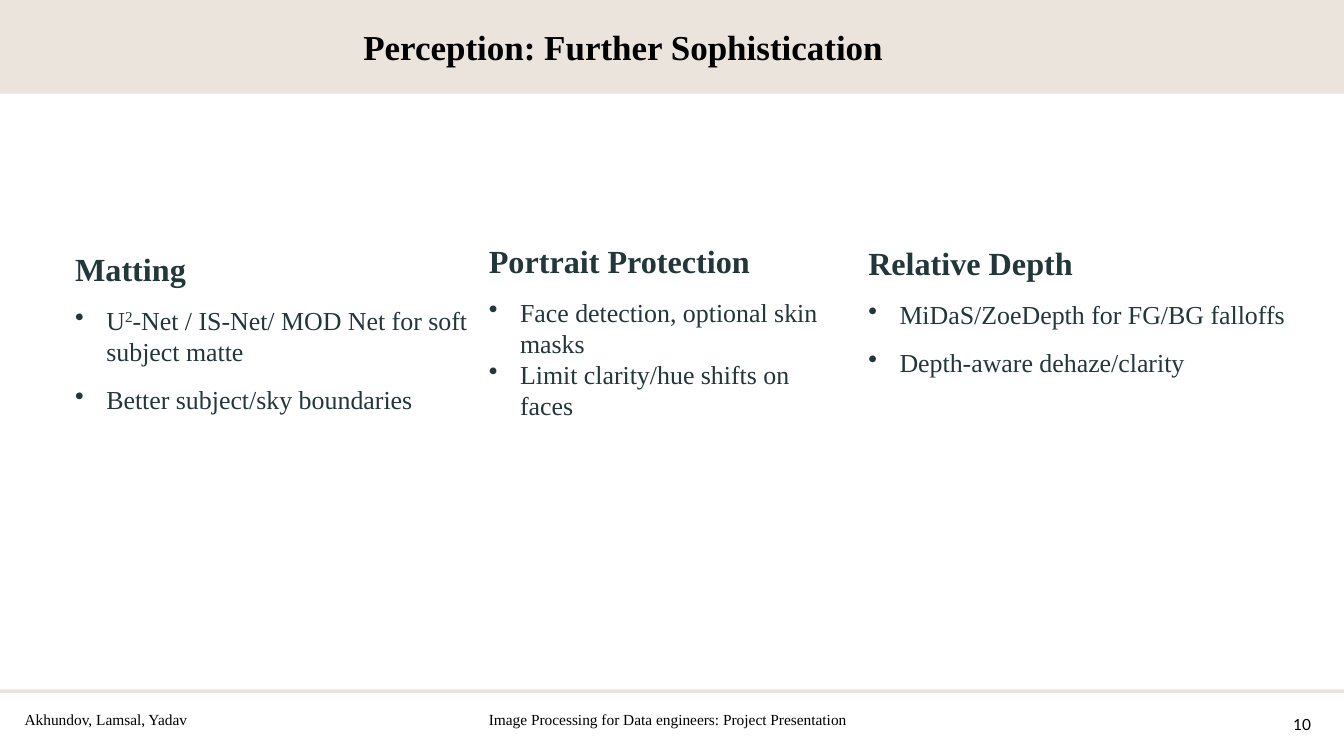
from dataclasses import dataclass

from lxml import etree
from pptx import Presentation
from pptx.dml.color import RGBColor
from pptx.enum.shapes import MSO_SHAPE
from pptx.enum.text import MSO_ANCHOR, MSO_AUTO_SIZE, PP_ALIGN
from pptx.oxml.ns import qn
from pptx.util import Pt

PX = 9144  # 100 px to the inch
RECT = MSO_SHAPE.RECTANGLE
GROW = MSO_AUTO_SIZE.SHAPE_TO_FIT_TEXT
MIDDLE, BOTTOM = MSO_ANCHOR.MIDDLE, MSO_ANCHOR.BOTTOM
LEFT, CENTER = PP_ALIGN.LEFT, PP_ALIGN.CENTER

WIDE, HIGH = 2667, 1500
INSET, INDENT = 6, 62
SERIF, SANS = "Times New Roman", "Lato"
COLORS = {"band": "EBE4DC", "ink": "22373A", "black": "000000"}


@dataclass
class Box:
    left: int
    top: int
    width: int
    height: int


@dataclass
class Label:
    box: Box
    text: str
    size: int
    font: str = SERIF
    bold: bool = False
    align: PP_ALIGN = LEFT
    anchor: MSO_ANCHOR = MIDDLE
    lines: float = 1.0


@dataclass
class Topic:
    box: Box
    head: str
    points: list[list[str]]  # runs of each point; every second run is raised
    gaps: list[int]  # space before each point


BANDS = [Box(0, 0, WIDE, 186), Box(0, 1368, WIDE, 7)]

LABELS = [
    Label(Box(715, 45, 1067, 95), "Perception: Further Sophistication", 50, bold=True),
    Label(Box(42, 1415, 336, 46), "Akhundov, Lamsal, Yadav", 22,
          align=CENTER, lines=0.1),
    Label(Box(964, 1415, 739, 46),
          "Image Processing for Data engineers: Project Presentation", 22, lines=0.1),
    Label(Box(2554, 1415, 60, 46), "10", 22, SANS, align=CENTER, anchor=BOTTOM),
]

TOPICS = [
    Topic(Box(143, 487, 821, 343), "Matting",
          [["U", "2", "-Net / IS-Net/ MOD Net for soft subject matte"],
           ["Better subject/sky boundaries"]], [24, 24]),
    Topic(Box(964, 471, 700, 371), "Portrait Protection",
          [["Face detection, optional skin masks"],
           ["Limit clarity/hue shifts on faces"]], [24, 0]),
    Topic(Box(1717, 476, 867, 280), "Relative Depth",
          [["MiDaS/ZoeDepth for FG/BG falloffs"],
           ["Depth-aware dehaze/clarity"]], [24, 24]),
]


def place(box: Box) -> list[int]:
    return [n * PX for n in (box.left, box.top, box.width, box.height)]


def add_band(slide, box: Box) -> None:
    band = slide.shapes.add_shape(RECT, *place(box))
    band.shadow.inherit = False
    band.fill.solid()
    band.fill.fore_color.rgb = RGBColor.from_string(COLORS["band"])
    band.line.fill.background()


def add_frame(slide, box: Box, wrap: bool, anchor: MSO_ANCHOR):
    frame = slide.shapes.add_textbox(*place(box)).text_frame
    frame.margin_left = frame.margin_right = INSET * PX
    frame.margin_top = frame.margin_bottom = INSET * PX
    frame.word_wrap = wrap
    frame.auto_size = GROW
    frame.vertical_anchor = anchor
    return frame


def add_run(para, text: str, size: int, color: str, font: str = SERIF,
            bold: bool = False, raised: bool = False) -> None:
    run = para.add_run()
    run.text = text
    run.font.name = font
    run.font.size = Pt(size)
    run.font.bold = bold
    run.font.color.rgb = RGBColor.from_string(COLORS[color])
    if raised:
        run.font._element.set("baseline", "30000")


def add_bullet(para) -> None:
    props = para._p.get_or_add_pPr()
    props.set("marL", str(INDENT * PX))
    props.set("indent", str(-INDENT * PX))
    etree.SubElement(props, qn("a:buChar")).set("char", "•")


def add_label(slide, label: Label) -> None:
    frame = add_frame(slide, label.box, False, label.anchor)
    para = frame.paragraphs[0]
    para.alignment = label.align
    para.line_spacing = label.lines
    add_run(para, label.text, label.size, "black", label.font, label.bold)


def add_topic(slide, topic: Topic) -> None:
    frame = add_frame(slide, topic.box, True, MIDDLE)
    add_run(frame.paragraphs[0], topic.head, 46, "ink", bold=True)
    for runs, gap in zip(topic.points, topic.gaps):
        para = frame.add_paragraph()
        add_bullet(para)
        para.space_before = Pt(gap)
        for i, text in enumerate(runs):
            add_run(para, text, 37, "ink", raised=i % 2 == 1)


def main() -> None:
    deck = Presentation()
    deck.slide_width, deck.slide_height = WIDE * PX, HIGH * PX
    slide = deck.slides.add_slide(deck.slide_layouts[6])

    # Header band and footer rule
    for box in BANDS:
        add_band(slide, box)

    # Title and footer
    for label in LABELS:
        add_label(slide, label)

    # Three columns of topics
    for topic in TOPICS:
        add_topic(slide, topic)

    deck.save("out.pptx")


if __name__ == "__main__":
    main()
